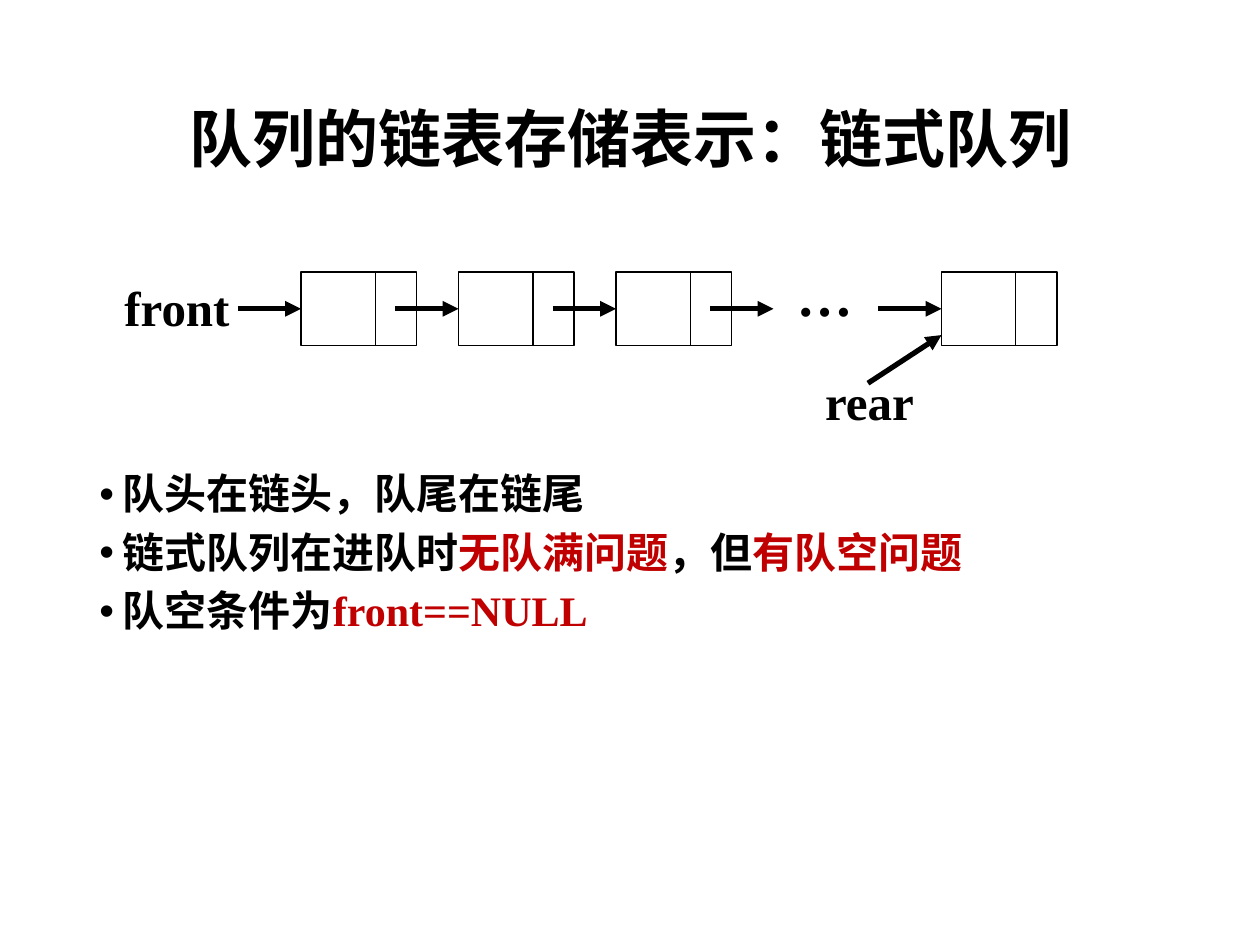
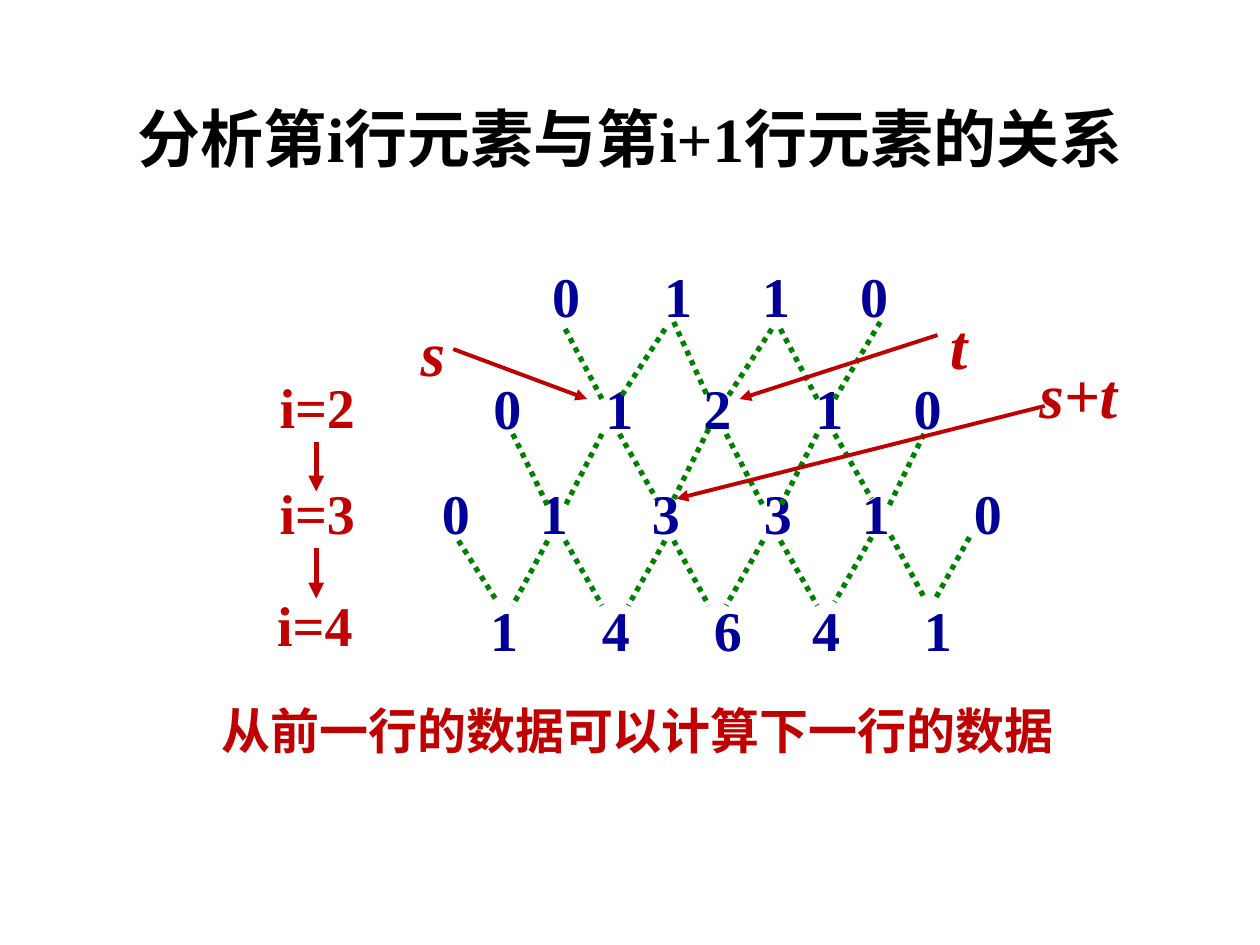
"""Build two slides on linked queues and on the rows of Pascal's triangle."""
import pptx
import pptx.dml.color
import pptx.enum.dml
import pptx.enum.shapes
import pptx.enum.text
import pptx.oxml.ns
import pptx.util
from lxml import etree

Pt = pptx.util.Pt
RGBColor = pptx.dml.color.RGBColor
ALIGN = pptx.enum.text.PP_ALIGN
MIDDLE = pptx.enum.text.MSO_ANCHOR.MIDDLE
RECTANGLE = pptx.enum.shapes.MSO_SHAPE.RECTANGLE
STRAIGHT = pptx.enum.shapes.MSO_CONNECTOR.STRAIGHT
DOTTED = pptx.enum.dml.MSO_LINE.ROUND_DOT
qn = pptx.oxml.ns.qn

BLACK = RGBColor(0x00, 0x00, 0x00)
WHITE = RGBColor(0xFF, 0xFF, 0xFF)
RED = RGBColor(0xC0, 0x00, 0x00)
BLUE = RGBColor(0x00, 0x00, 0x99)
GREEN = RGBColor(0x00, 0x80, 0x00)
LATIN_FONT = "Times New Roman"
CHINESE_FONT = "Noto Sans CJK SC"

TITLE_BOX = (49.7, 28.8, 620.6, 104.4)
TITLE_FONT = {"size": Pt(36), "bold": True}
BODY_FONT = {"size": Pt(24), "bold": True}
LABEL_FONT = {"size": Pt(28), "bold": True}
NUMBER_FONT = {"size": Pt(32), "bold": True}
ELLIPSIS_FONT = {"size": Pt(32), "bold": True, "italic": True}
SYMBOL_FONT = {"size": Pt(36), "bold": True, "italic": True}
TITLE_PARAGRAPH = {"alignment": ALIGN.CENTER, "line_spacing": 0.9}
BODY_PARAGRAPH = {"line_spacing": 0.9, "space_before": Pt(7.5)}
CENTERED = {"alignment": ALIGN.CENTER}


def add_text(slide, box, paragraphs, font_format, paragraph_format={}, wrap=False):
    shape = slide.shapes.add_textbox(*map(Pt, box))
    frame = shape.text_frame
    frame.word_wrap = wrap
    for index, runs in enumerate(paragraphs):
        paragraph = frame.paragraphs[0] if index == 0 else frame.add_paragraph()
        for name, value in paragraph_format.items():
            setattr(paragraph, name, value)
        for text, color in runs:
            run = paragraph.add_run()
            run.text = text
            for name, value in font_format.items():
                setattr(run.font, name, value)
            run.font.color.rgb = color
            run.font.name = LATIN_FONT
            etree.SubElement(run.font._element, qn("a:ea"), typeface=CHINESE_FONT)
    return shape


def add_line(slide, points, color, width, arrow=False, dash=None):
    line = slide.shapes.add_connector(STRAIGHT, *map(Pt, points))
    line.line.color.rgb = color
    line.line.width = Pt(width)
    if dash:
        line.line.dash_style = dash
    properties = line._element.spPr
    if arrow:
        etree.SubElement(properties.find(qn("a:ln")), qn("a:tailEnd"), type="triangle")
    etree.SubElement(properties, qn("a:effectLst"))
    return line


presentation = pptx.Presentation()
presentation.slide_width = Pt(720)
presentation.slide_height = Pt(540)
slides = []
for title in ("队列的链表存储表示：链式队列", "分析第i行元素与第i+1行元素的关系"):
    slide = presentation.slides.add_slide(presentation.slide_layouts[6])
    heading = add_text(slide, TITLE_BOX, [[(title, BLACK)]], TITLE_FONT, TITLE_PARAGRAPH, True)
    heading.text_frame.vertical_anchor = MIDDLE
    slides.append(slide)
queue_slide, triangle_slide = slides

body = add_text(queue_slide, (49.7, 267, 620.6, 219.6), [
    [("队头在链头，队尾在链尾", BLACK)],
    [("链式队列在进队时", BLACK), ("无队满问题", RED), ("，但", BLACK), ("有队空问题", RED)],
    [("队空条件为", BLACK), ("front==NULL", RED)],
], BODY_FONT, BODY_PARAGRAPH, True)
for paragraph in body.text_frame.paragraphs:
    properties = paragraph._p.get_or_add_pPr()
    properties.set("marL", str(Pt(13.5)))
    properties.set("indent", str(-Pt(13.5)))
    etree.SubElement(properties, qn("a:buFont"), typeface="Arial")
    etree.SubElement(properties, qn("a:buChar"), char="•")

NODE_TOP, NODE_WIDTH, NODE_HEIGHT = 155.5, 66, 42
NODE_MIDDLE = NODE_TOP + NODE_HEIGHT / 2
ARROW_LENGTH = 36
for left in (172, 262, 352, 538):
    node = queue_slide.shapes.add_shape(
        RECTANGLE, *map(Pt, (left, NODE_TOP, NODE_WIDTH, NODE_HEIGHT)))
    node.shadow.inherit = False
    node.fill.solid()
    node.fill.fore_color.rgb = WHITE
    node.line.color.rgb = BLACK
    node.line.width = Pt(0.75)
    divider = left + 42.5
    add_line(queue_slide, (divider, NODE_TOP, divider, NODE_TOP + NODE_HEIGHT), BLACK, 0.75)
    arrow = add_line(
        queue_slide, (left - ARROW_LENGTH, NODE_MIDDLE, left, NODE_MIDDLE), BLACK, 3, True)
    arrow.end_connect(node, 1)
add_line(queue_slide, (406, NODE_MIDDLE, 406 + ARROW_LENGTH, NODE_MIDDLE), BLACK, 3, True)
add_line(queue_slide, (496, 219, 538, 191.5), BLACK, 3, True)
for text, box, font_format in (
    ("…", (449.3, 145.4, 46.8, 46), ELLIPSIS_FONT),
    ("front", (64, 154.8, 75.6, 41), LABEL_FONT),
    ("rear", (464.4, 208.8, 65.5, 41), LABEL_FONT),
):
    add_text(queue_slide, box, [[(text, BLACK)]], font_format)

for text, left, top in (("i=2", 152.7, 209.5), ("i=3", 152.7, 270), ("i=4", 151.3, 334)):
    add_text(triangle_slide, (left, top, 58, 46), [[(text, RED)]], NUMBER_FONT)
for top, bottom in ((252.7, 280.8), (313.2, 342)):
    add_line(triangle_slide, (180.7, top, 180.7, bottom), RED, 3, True)

NUMBER_WIDTH = 32
NARROW, WIDE = 56, 64
for top, center, numbers, gaps in (
    (146, 323.5, "0110", (WIDE, NARROW, NARROW)),
    (210, 290, "01210", (WIDE, NARROW, WIDE, NARROW)),
    (270, 260.5, "013310", (NARROW, WIDE, WIDE, NARROW, WIDE)),
    (337, 288, "14641", (WIDE, WIDE, NARROW, WIDE)),
):
    for number, gap in zip(numbers, (*gaps, 0)):
        box = (center - NUMBER_WIDTH / 2, top, NUMBER_WIDTH, 46)
        add_text(triangle_slide, box, [[(number, BLUE)]], NUMBER_FONT, CENTERED)
        center += gap

for points in (
    (323, 188, 344, 228), (385, 184, 405, 228), (446, 188, 467, 228),
    (380, 188, 354, 228), (441, 188, 415, 228), (503, 184, 477, 228),
    (293, 248, 313, 289), (354, 248, 375, 285), (415, 248, 436, 289), (477, 248, 498, 285),
    (344, 248, 323, 289), (405, 245, 385, 285), (467, 248, 446, 289), (528, 248, 508, 289),
    (262, 309, 283, 342), (323, 309, 344, 346), (385, 309, 405, 346), (446, 309, 467, 346),
    (509, 306, 529, 343), (313, 309, 293, 346), (380, 309, 359, 346), (436, 309, 415, 346),
    (498, 307, 477, 344), (554, 307, 534, 343),
):
    add_line(triangle_slide, points, GREEN, 3, dash=DOTTED)

add_text(triangle_slide, (76.3, 396.7, 576, 41),
         [[("从前一行的数据可以计算下一行的数据", RED)]], LABEL_FONT, CENTERED, True)
for symbol, box, points in (
    ("s", (233.3, 175.7, 28.8, 50.4), (259, 199.5, 335.5, 228)),
    ("t", (535.7, 171.4, 24.5, 50.4), (535.7, 191.5, 422.6, 228)),
    ("s+t", (586.8, 199.4, 59, 50.4), (597, 232, 386.6, 285)),
):
    add_line(triangle_slide, points, RED, 2.25, True)
    add_text(triangle_slide, box, [[(symbol, RED)]], SYMBOL_FONT)

presentation.save("out.pptx")
